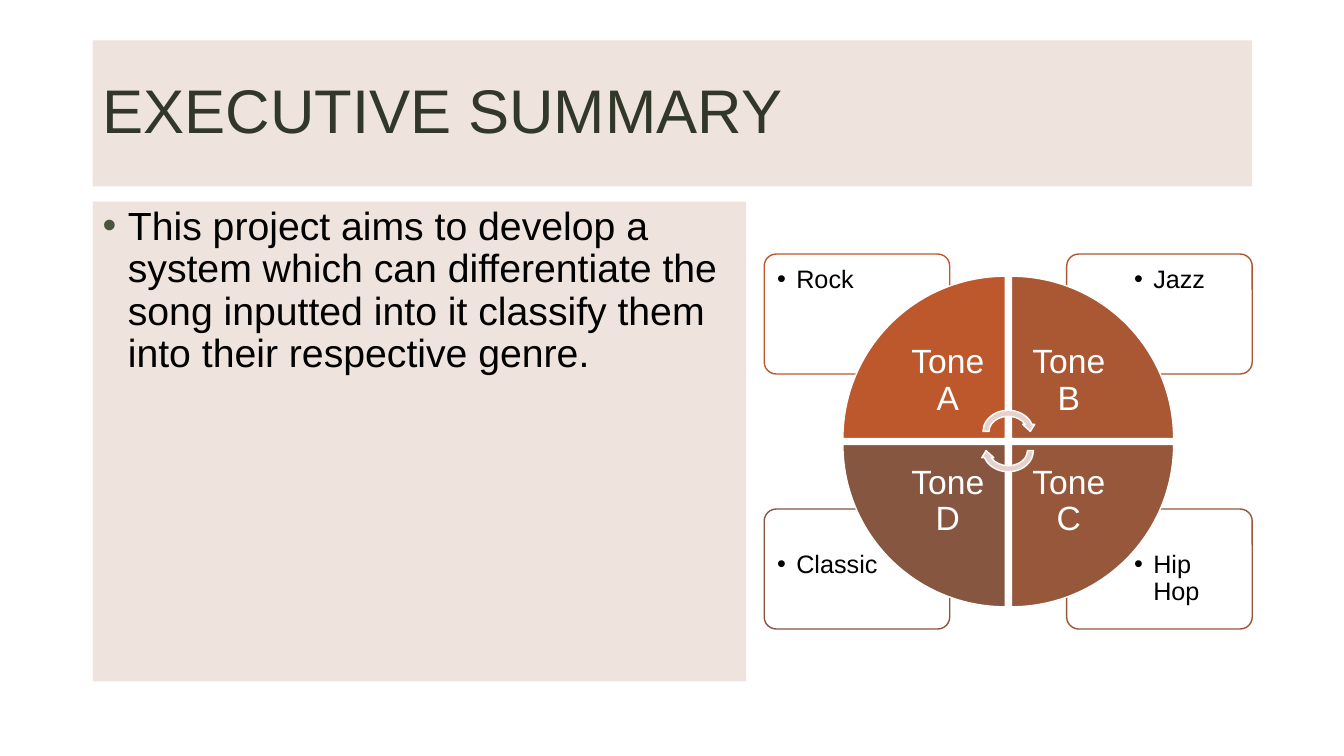
from lxml import etree
from pptx import Presentation
from pptx.dml.color import RGBColor
from pptx.enum.shapes import MSO_SHAPE
from pptx.enum.text import MSO_ANCHOR, PP_ALIGN
from pptx.oxml.ns import qn
from pptx.util import Inches, Pt

RECT, ROUNDED = MSO_SHAPE.RECTANGLE, MSO_SHAPE.ROUNDED_RECTANGLE
WEDGE, CYCLE_ARROW = MSO_SHAPE.PIE_WEDGE, MSO_SHAPE.CIRCULAR_ARROW
TOP, MIDDLE = MSO_ANCHOR.TOP, MSO_ANCHOR.MIDDLE
LEFT, CENTER = PP_ALIGN.LEFT, PP_ALIGN.CENTER

# Content
TITLE = "EXECUTIVE SUMMARY"
SUMMARY = ("This project aims to develop a system which can differentiate "
           "the song inputted into it classify them into their respective genre.")
BLACK = RGBColor(0x00, 0x00, 0x00)
WHITE = RGBColor(0xFF, 0xFF, 0xFF)
SAND = RGBColor(0xEB, 0xDC, 0xD5)
ROSE = RGBColor(0xE8, 0xD1, 0xCD)
TITLE_GREEN = RGBColor(0x31, 0x38, 0x29)
BULLET_GREEN = RGBColor(0x4A, 0x54, 0x3E)

# tone, genre, colour, column, row, wedge rotation
QUADRANTS = [
    ("Tone A", "Rock", RGBColor(0xBD, 0x58, 0x2C), 0, 0, 0),
    ("Tone B", "Jazz", RGBColor(0xAA, 0x58, 0x34), 1, 0, 90),
    ("Tone C", "Hip Hop", RGBColor(0x97, 0x57, 0x3A), 1, 1, 180),
    ("Tone D", "Classic", RGBColor(0x86, 0x56, 0x40), 0, 1, 270),
]
ARROWS = [(4.04, 0), (4.23, 180)]  # top, rotation

# Wheel geometry: gap from the centre (x, y), then width and height
CENTER_X, CENTER_Y = 10, 4.38
CARD = (0.58, 0.67, 1.84, 1.19)
GENRE = (1.15, 0.99, 1.24, 0.84)
SLICE = (0.03, 0.03, 1.61, 1.61)
TONE = (0.03, 0.03, 1.14, 1.14)

# Text formats
TITLE_FORMAT = {"size": Pt(44), "color": TITLE_GREEN}
BODY_FORMAT = {"size": Pt(28), "color": BLACK}
GENRE_FORMAT = {"size": Pt(18), "color": BLACK}
TONE_FORMAT = {"size": Pt(24), "color": WHITE}

prs = Presentation()
prs.slide_width, prs.slide_height = Inches(13.33), Inches(7.5)
s = prs.slides.add_slide(prs.slide_layouts[6])


def mirrored(part, col, row):
    gap_x, gap_y, w, h = part
    left = CENTER_X + gap_x if col else CENTER_X - gap_x - w
    top = CENTER_Y + gap_y if row else CENTER_Y - gap_y - h
    return left, top, w, h


def add_shape(kind, box, fill, line=None, alpha=None, rotation=0):
    sp = s.shapes.add_shape(kind, *map(Inches, box))
    sp.shadow.inherit = False
    sp.rotation = rotation
    sp.fill.solid()
    sp.fill.fore_color.rgb = fill
    if alpha:
        color = sp.fill._xPr.find(qn("a:solidFill"))[0]
        etree.SubElement(color, qn("a:alpha"), val=str(alpha * 1000))
    if line is None:
        sp.line.fill.background()
    else:
        sp.line.color.rgb = line
        sp.line.width = Pt(1)
    return sp


def write(sp, text, style, anchor=TOP, align=LEFT, spacing=0.9, inset=None):
    tf = sp.text_frame
    tf.word_wrap = True
    tf.vertical_anchor = anchor
    if inset:
        for side in ("left", "top", "right", "bottom"):
            setattr(tf, f"margin_{side}", Inches(inset))
    p = tf.paragraphs[0]
    p.alignment = align
    p.line_spacing = spacing
    r = p.add_run()
    r.text = text
    r.font.name = "Arial"
    r.font.size = style["size"]
    r.font.color.rgb = style["color"]
    return p


def add_bullet(p, indent, color):
    pPr = p._p.get_or_add_pPr()
    pPr.set("marL", str(Inches(indent)))
    pPr.set("indent", str(-Inches(indent)))
    buClr = etree.SubElement(pPr, qn("a:buClr"))
    etree.SubElement(buClr, qn("a:srgbClr"), val=str(color))
    etree.SubElement(pPr, qn("a:buFont"), typeface="Arial")
    etree.SubElement(pPr, qn("a:buChar"), char="•")


def add_label(box, *args, **kwargs):
    return write(s.shapes.add_textbox(*map(Inches, box)), *args, **kwargs)


# Title and summary panels
sp = add_shape(RECT, (0.92, 0.4, 11.5, 1.45), SAND, alpha=80)
write(sp, TITLE, TITLE_FORMAT, anchor=MIDDLE, spacing=0.9)
sp = add_shape(RECT, (0.92, 2, 6.48, 4.76), SAND, alpha=80)
add_bullet(write(sp, SUMMARY, BODY_FORMAT), 0.25, BULLET_GREEN)

# Genre cards behind the wheel
for tone, genre, color, col, row, rotation in QUADRANTS:
    sp = add_shape(ROUNDED, mirrored(CARD, col, row), WHITE, color, alpha=90)
    sp.adjustments[0] = 0.1
    p = add_label(mirrored(GENRE, col, row), genre, GENRE_FORMAT, inset=0.1)
    add_bullet(p, 0.19, BLACK)

# Tone wheel
for tone, genre, color, col, row, rotation in QUADRANTS:
    add_shape(WEDGE, mirrored(SLICE, col, row), color, WHITE, rotation=rotation)
    add_label(mirrored(TONE, col, row), tone, TONE_FORMAT,
              anchor=MIDDLE, align=CENTER, inset=0.19)

# Cycle arrows at the hub
for top, rotation in ARROWS:
    add_shape(CYCLE_ARROW, (CENTER_X - 0.28, top, 0.56, 0.48), ROSE, WHITE,
              rotation=rotation)

prs.save("out.pptx")
